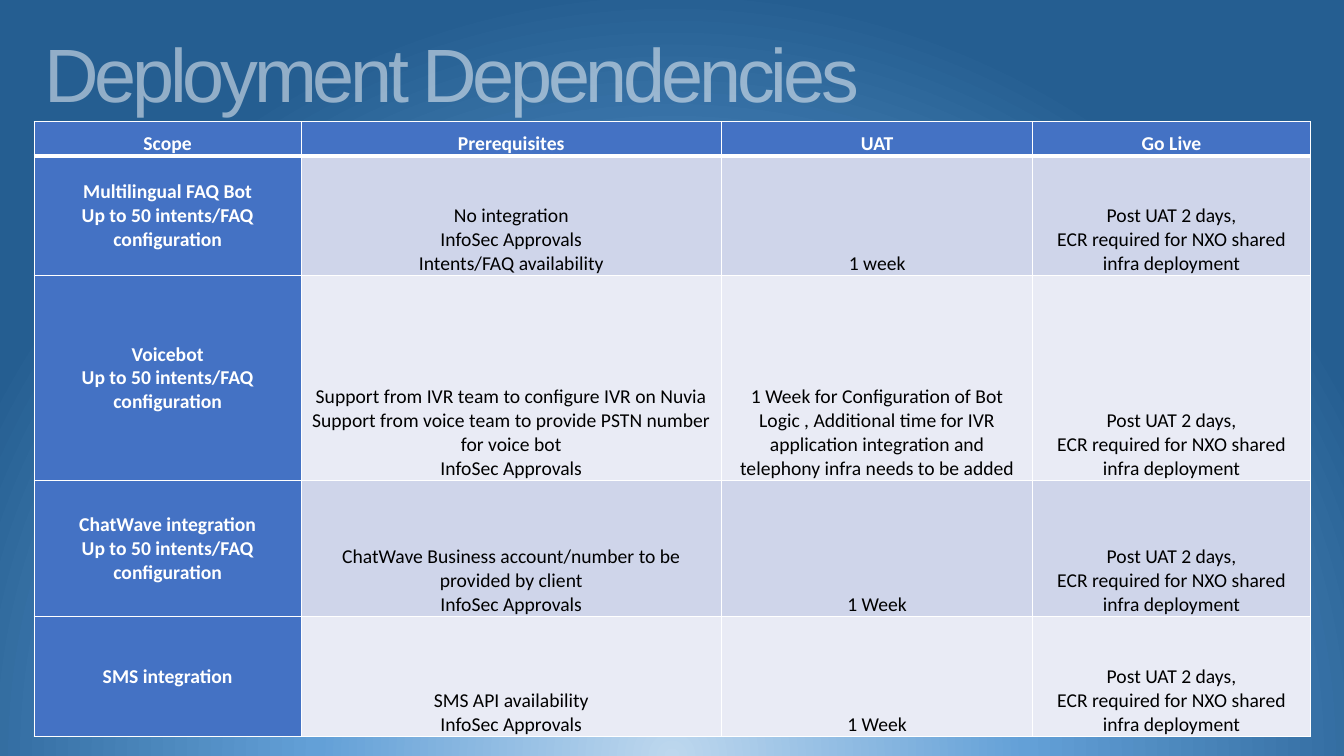
from lxml.etree import SubElement
from pptx import Presentation
from pptx.dml.color import RGBColor
from pptx.enum.text import MSO_ANCHOR, PP_ALIGN
from pptx.oxml import parse_xml
from pptx.oxml.ns import nsdecls, qn
from pptx.util import Cm, Pt

COLORS = {
    "white": "FFFFFF",
    "black": "000000",
    "header": "4472C4",
    "band_dark": "CFD5EA",
    "band_light": "E9EBF5",
    "glow": "BDD7EE",
    "sky": "63A0D7",
    "deep": "255E91",
}
COL_WIDTHS = [6.73, 10.59, 7.85, 6.99]
ROW_HEIGHTS = [0.86, 3.02, 5.16, 3.43, 3.02]
INTENTS = "Up to 50 intents/FAQ configuration"
GO_LIVE = "Post UAT 2 days,\nECR required for NXO shared infra deployment"
ROWS = [
    ["Scope", "Prerequisites", "UAT", "Go Live"],
    [
        f"Multilingual FAQ Bot\n{INTENTS}",
        "No integration\nInfoSec Approvals\nIntents/FAQ availability",
        "1 week",
        GO_LIVE,
    ],
    [
        f"Voicebot\n{INTENTS}",
        "Support from IVR team to configure IVR on Nuvia\n"
        "Support from voice team to provide PSTN number for voice bot\n"
        "InfoSec Approvals",
        "1 Week for Configuration of Bot Logic , Additional time for IVR "
        "application integration and telephony infra needs to be added",
        GO_LIVE,
    ],
    [
        f"ChatWave integration\n{INTENTS}",
        "ChatWave Business account/number to be provided by client\n"
        "InfoSec Approvals",
        "1 Week",
        GO_LIVE,
    ],
    [
        "SMS integration",
        "SMS API availability\nInfoSec Approvals",
        "1 Week",
        GO_LIVE,
    ],
]


def rgb(name):
    return RGBColor.from_string(COLORS[name])


def write_text(tf, text, size=14, font="Calibri", color="black", bold=False,
               align=PP_ALIGN.CENTER, alpha=None, spacing=None):
    tf.word_wrap = True
    for i, line in enumerate(text.split("\n")):
        p = tf.paragraphs[0] if i == 0 else tf.add_paragraph()
        p.alignment = align
        r = p.add_run()
        r.text = line
        r.font.size = Pt(size)
        r.font.name = font
        r.font.bold = bold
        r.font.color.rgb = rgb(color)
        rPr = r.font._element
        if alpha is not None:
            clr = rPr.find(".//" + qn("a:srgbClr"))
            SubElement(clr, qn("a:alpha")).set("val", str(alpha * 1000))
        if spacing is not None:
            rPr.set("spc", str(spacing * 100))


def set_borders(cell, **widths):
    tcPr = cell._tc.get_or_add_tcPr()
    for i, side in enumerate("LRTB"):
        width = Pt(widths.get(side, 1))
        tcPr.insert(i, parse_xml(
            f'<a:ln{side} {nsdecls("a")} w="{width}"><a:solidFill>'
            f'<a:srgbClr val="{COLORS["white"]}"/></a:solidFill></a:ln{side}>'))


def add_background(s):
    stops = "".join(
        f'<a:gs pos="{pos * 1000}"><a:srgbClr val="{COLORS[name]}"/></a:gs>'
        for pos, name in [(0, "glow"), (46, "sky"), (100, "deep")])
    s._element.cSld.insert(0, parse_xml(
        f'<p:bg {nsdecls("p", "a")}><p:bgPr><a:gradFill rotWithShape="1">'
        f'<a:gsLst>{stops}</a:gsLst><a:path path="circle">'
        '<a:fillToRect l="50000" t="130000" r="50000" b="-30000"/></a:path>'
        '</a:gradFill><a:effectLst/></p:bgPr></p:bg>'))


def add_title(s, left, top, width, height):
    tf = s.shapes.add_textbox(left, top, width, height).text_frame
    tf.vertical_anchor = MSO_ANCHOR.BOTTOM
    write_text(tf, "Deployment Dependencies", size=54, font="Arial",
               color="white", align=PP_ALIGN.LEFT, alpha=50, spacing=-3)


def add_dependency_table(s, left, top, width, height):
    table = s.shapes.add_table(len(ROWS), len(COL_WIDTHS),
                               left, top, width, height).table
    table.horz_banding = False
    for column, size in zip(table.columns, COL_WIDTHS):
        column.width = Cm(size)
    for row, size in zip(table.rows, ROW_HEIGHTS):
        row.height = Cm(size)
    for i, texts in enumerate(ROWS):
        band = "band_dark" if i % 2 else "band_light"
        for j, text in enumerate(texts):
            cell = table.cell(i, j)
            heading = i == 0 or j == 0
            scope = i > 0 and j == 0
            cell.margin_left = cell.margin_right = Cm(0.18)
            cell.margin_top = cell.margin_bottom = 0
            cell.vertical_anchor = MSO_ANCHOR.MIDDLE if scope else MSO_ANCHOR.BOTTOM
            cell.fill.solid()
            cell.fill.fore_color.rgb = rgb("header" if heading else band)
            write_text(cell.text_frame, text, bold=heading,
                       color="white" if heading else "black")
            set_borders(cell, T=3 if i == 1 else 1, B=3 if i == 0 else 1)


def main():
    prs = Presentation()
    prs.slide_width, prs.slide_height = Cm(33.87), Cm(19.05)
    s = prs.slides.add_slide(prs.slide_layouts[6])
    add_background(s)
    left = Cm(0.86)
    add_title(s, left, Cm(0.51), prs.slide_width - left, Cm(2.57))
    add_dependency_table(s, left, Cm(3.07), Cm(sum(COL_WIDTHS)),
                         Cm(sum(ROW_HEIGHTS)))
    prs.save("out.pptx")


if __name__ == "__main__":
    main()
